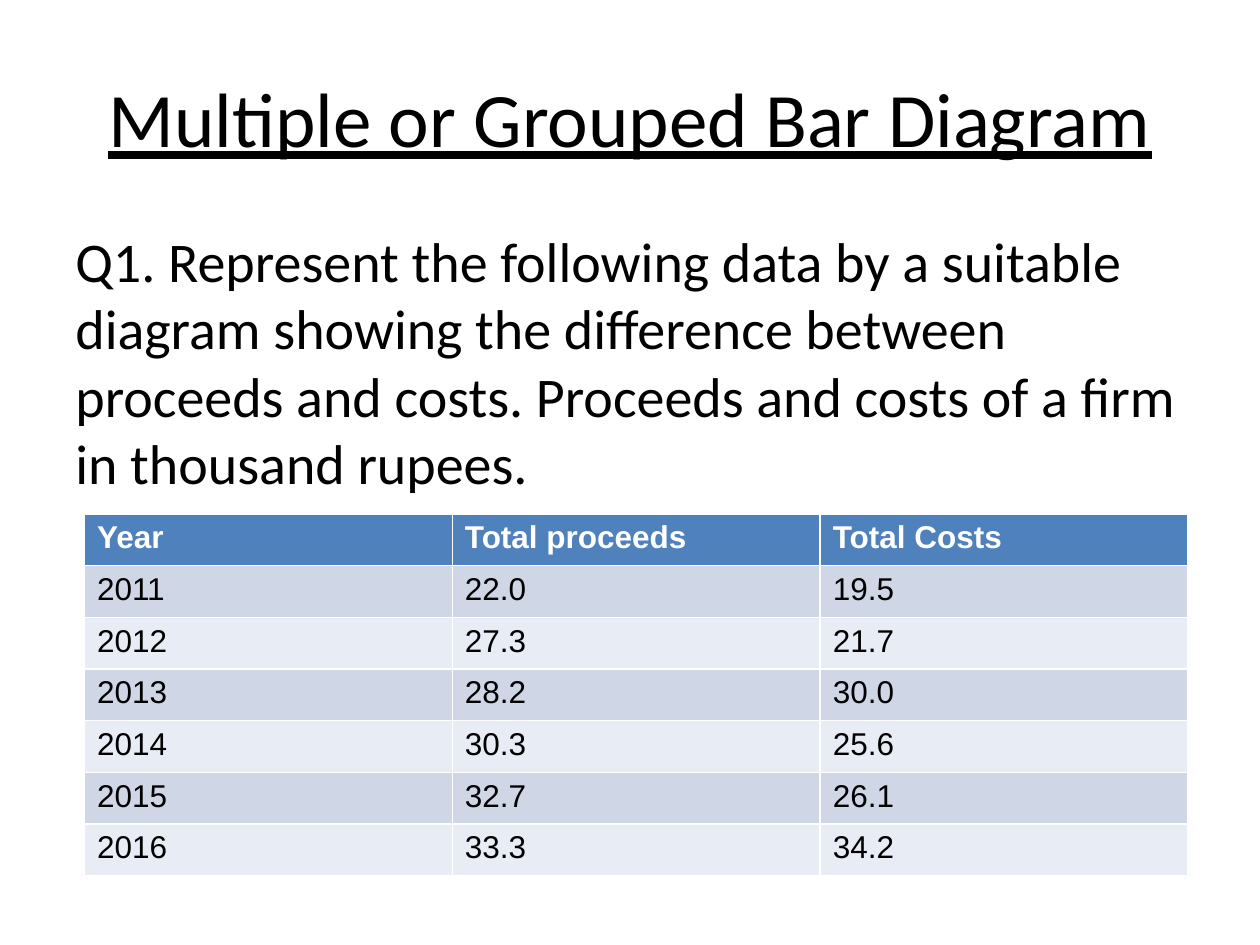
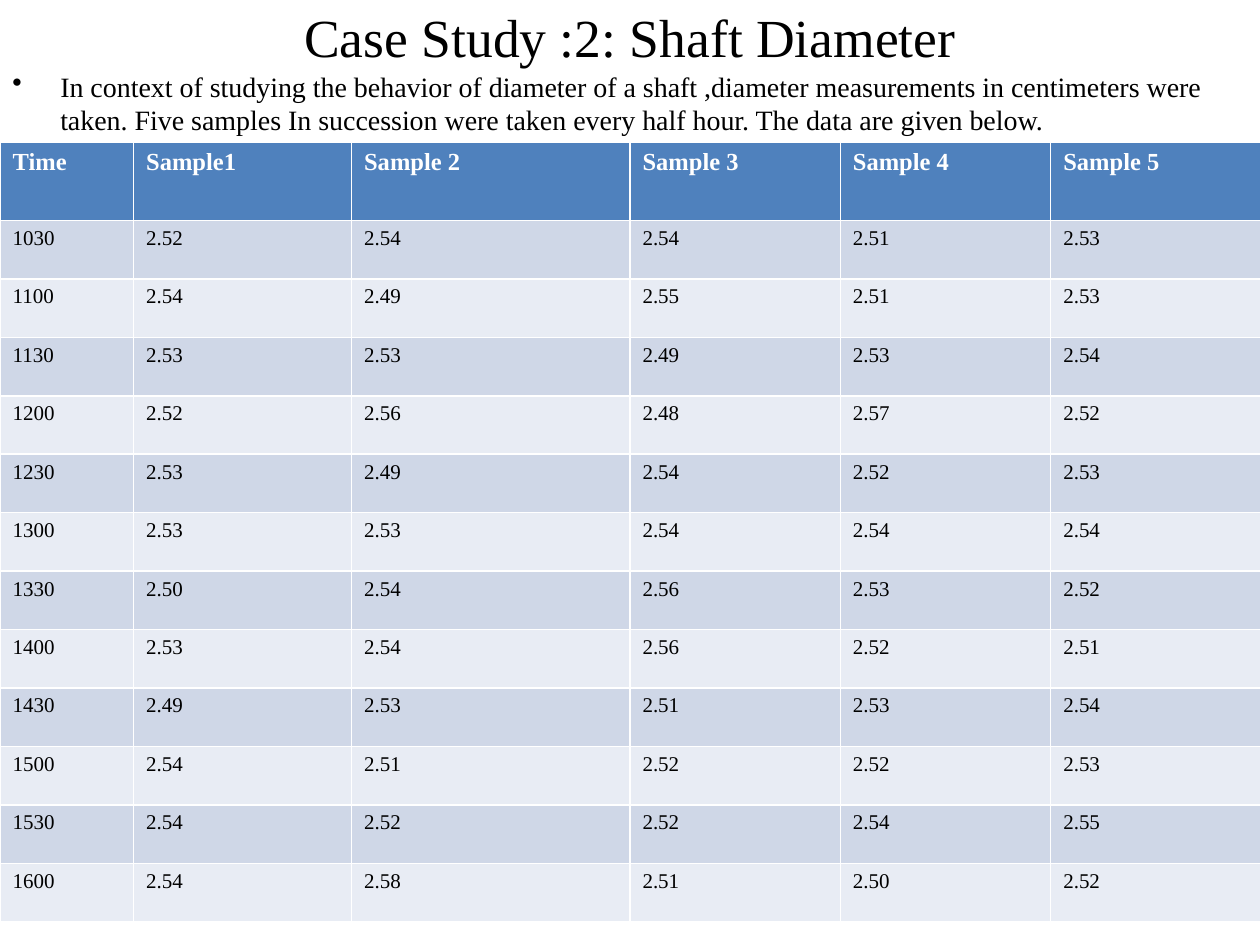
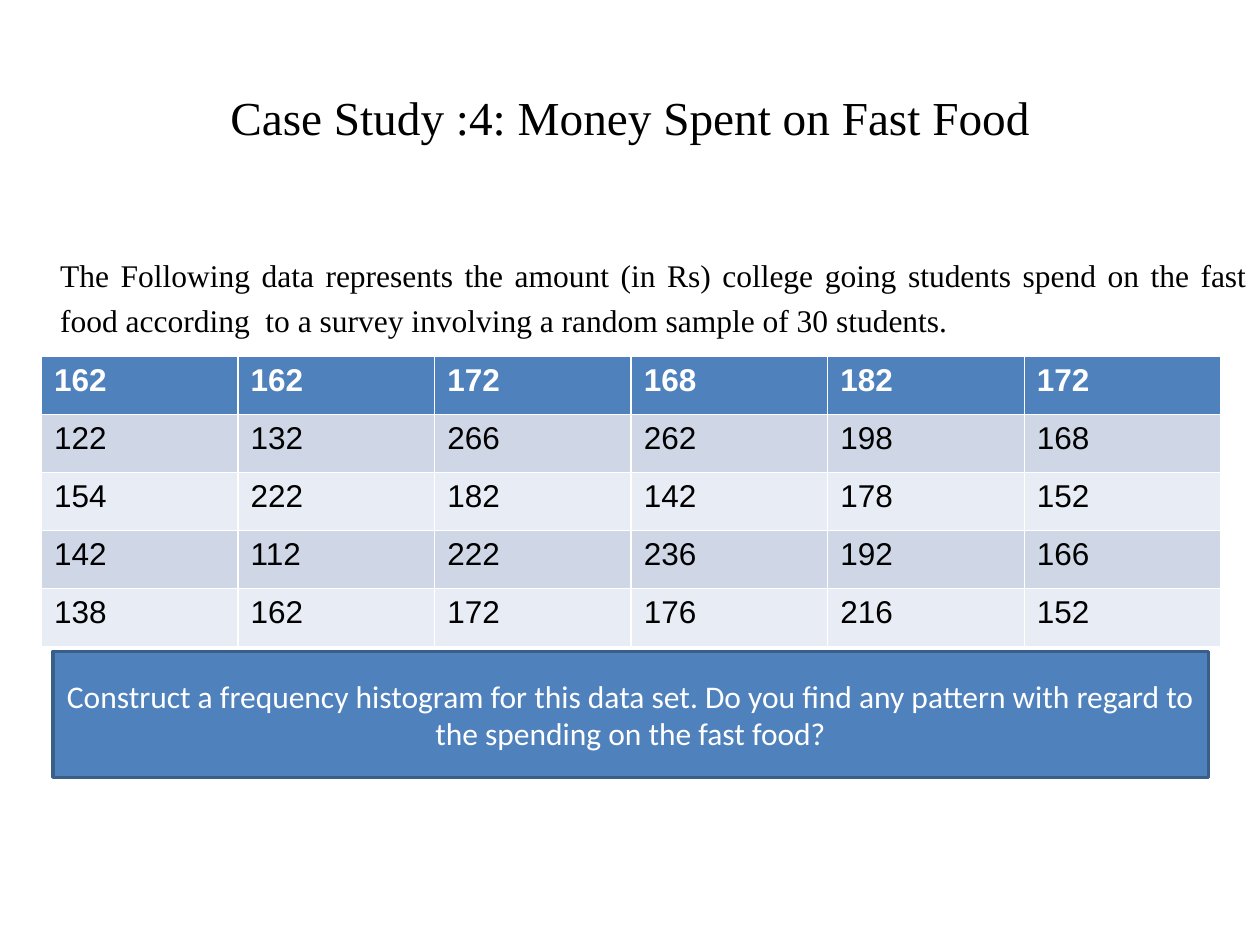
import pptx
import pptx.util
import pptx.dml.color
import pptx.enum.shapes
import pptx.enum.text
import lxml.etree

Inches = pptx.util.Inches
Pt = pptx.util.Pt
Align = pptx.enum.text.PP_ALIGN
Anchor = pptx.enum.text.MSO_ANCHOR

BLUE, EDGE = "4F81BD", "395E89"
WHITE, BLACK = "FFFFFF", "000000"
BANDS = ["E8ECF4", "CFD7E7"]
SANS, SERIF, ARIAL = "Calibri", "Times New Roman", "Arial"


def paint(item, tone):
    if hasattr(item, "solid"):
        item.solid()
        item = item.fore_color
    item.rgb = pptx.dml.color.RGBColor.from_string(tone)


def write(frame, text, size, face, tone=BLACK, bold=False, line=False,
          align=Align.LEFT, anchor=None, hang=None, bullet=None, space=None):
    frame.word_wrap = True
    if anchor is not None:
        frame.vertical_anchor = anchor
    para = frame.paragraphs[0]
    para.text = text
    para.alignment = align
    para.line_spacing = space
    if hang:
        props = para._p.get_or_add_pPr()
        props.set("marL", str(Inches(hang)))
        props.set("indent", str(-Inches(hang) if bullet else 0))
    if bullet:
        tag = "{http://schemas.openxmlformats.org/drawingml/2006/main}buChar"
        lxml.etree.SubElement(props, tag).set("char", bullet)
    font = para.runs[0].font
    font.size, font.name = Pt(size), face
    font.bold, font.underline = bold, line
    paint(font.color, tone)


bars = """Year|Total proceeds|Total Costs
2011|22.0|19.5
2012|27.3|21.7
2013|28.2|30.0
2014|30.3|25.6
2015|32.7|26.1
2016|33.3|34.2"""

shaft = """Time|Sample1|Sample 2|Sample 3|Sample 4|Sample 5
1030|2.52|2.54|2.54|2.51|2.53
1100|2.54|2.49|2.55|2.51|2.53
1130|2.53|2.53|2.49|2.53|2.54
1200|2.52|2.56|2.48|2.57|2.52
1230|2.53|2.49|2.54|2.52|2.53
1300|2.53|2.53|2.54|2.54|2.54
1330|2.50|2.54|2.56|2.53|2.52
1400|2.53|2.54|2.56|2.52|2.51
1430|2.49|2.53|2.51|2.53|2.54
1500|2.54|2.51|2.52|2.52|2.53
1530|2.54|2.52|2.52|2.54|2.55
1600|2.54|2.58|2.51|2.50|2.52"""

food = """162|162|172|168|182|172
122|132|266|262|198|168
154|222|182|142|178|152
142|112|222|236|192|166
138|162|172|176|216|152"""

pages = [
    dict(
        title="Multiple or Grouped Bar Diagram",
        head=(0.5, 0.3, 9, 1.25),
        style=dict(size=44, face=SANS, line=True),
        body="Q1. Represent the following data by a suitable diagram showing the "
             "difference between proceeds and costs. Proceeds and costs of a firm "
             "in thousand rupees.",
        box=(0.5, 1.75, 9, 4.95), inset=0.05,
        form=dict(size=32, face=SANS),
        data=bars, spot=(0.67, 4.08), cols=[2.92] * 3, top=0.41, step=0.41,
        face=ARIAL, sizes=(18, 18)),
    dict(
        title="Case Study :2: Shaft Diameter",
        head=(0.5, 0, 9, 0.58),
        style=dict(size=30.6, face=SERIF),
        body="In context of studying the behavior of diameter of a shaft ,diameter "
             "measurements in centimeters were taken. Five samples In succession "
             "were taken every half hour. The data are given below.",
        box=(0, 0.5, 9.75, 6.2), inset=0.05,
        form=dict(size=16, face=SERIF, hang=0.38, bullet="•"),
        data=shaft, spot=(0, 1.13), cols=[1.06, 1.73, 2.21] + [1.67] * 3,
        top=0.62, step=0.464, face=SERIF, sizes=(14, 12)),
    dict(
        title="Case Study :4: Money Spent on Fast Food",
        head=(0.5, 0.3, 9, 1.25),
        style=dict(size=27, face=SERIF),
        body="The Following data represents the amount (in Rs) college going "
             "students spend on the fast food according  to a survey involving "
             "a random sample of 30 students.",
        box=(0, 1.75, 10, 4.95), inset=0.22,
        form=dict(size=18, face=SERIF, hang=0.38, align=Align.JUSTIFY, space=1.2),
        data=food, spot=(0.33, 2.83), cols=[1.56] * 6, top=0.46, step=0.46,
        face=ARIAL, sizes=(18, 18)),
]

deck = pptx.Presentation()
deck.slide_width, deck.slide_height = Inches(10), Inches(7.5)

for page in pages:
    slide = deck.slides.add_slide(deck.slide_layouts[5])
    title = slide.shapes.title
    title.left, title.top, title.width, title.height = map(Inches, page["head"])
    title.text_frame.auto_size = pptx.enum.text.MSO_AUTO_SIZE.NONE
    write(title.text_frame, page["title"], align=Align.CENTER,
          anchor=Anchor.MIDDLE, **page["style"])

    body = slide.shapes.add_textbox(*map(Inches, page["box"])).text_frame
    body.margin_top = Inches(page["inset"])
    write(body, page["body"], anchor=Anchor.TOP, **page["form"])

    rows = [row.split("|") for row in page["data"].splitlines()]
    cols = page["cols"]
    high = page["top"] + page["step"] * (len(rows) - 1)
    size = (*page["spot"], sum(cols), high)
    grid = slide.shapes.add_table(len(rows), len(cols), *map(Inches, size)).table
    for col, wide in zip(grid.columns, cols):
        col.width = Inches(wide)
    for r, row in enumerate(rows):
        first = r == 0
        grid.rows[r].height = Inches(page["top"] if first else page["step"])
        for c, text in enumerate(row):
            cell = grid.cell(r, c)
            paint(cell.fill, BLUE if first else BANDS[r % 2])
            write(cell.text_frame, text, page["sizes"][0 if first else 1],
                  page["face"], WHITE if first else BLACK, bold=first)

task = slide.shapes.add_shape(pptx.enum.shapes.MSO_SHAPE.RECTANGLE,
                              *map(Inches, (0.42, 5.17, 9.17, 1)))
task.shadow.inherit = False
paint(task.fill, BLUE)
paint(task.line.fill, EDGE)
task.line.width = Pt(2)
write(task.text_frame, "Construct a frequency histogram for this data set. Do you find "
      "any pattern with regard to the spending on the fast food?", 18, SANS, WHITE,
      align=Align.CENTER, anchor=Anchor.MIDDLE)

deck.save("out.pptx")
